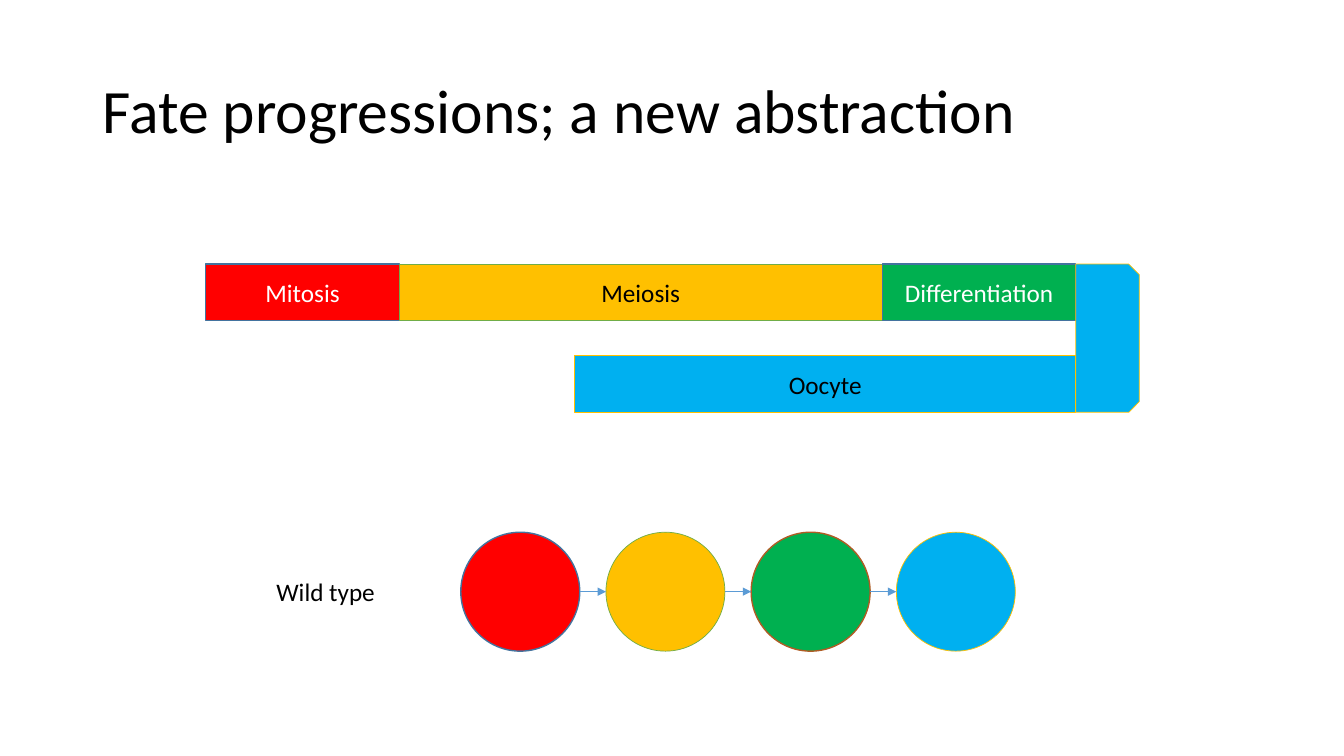
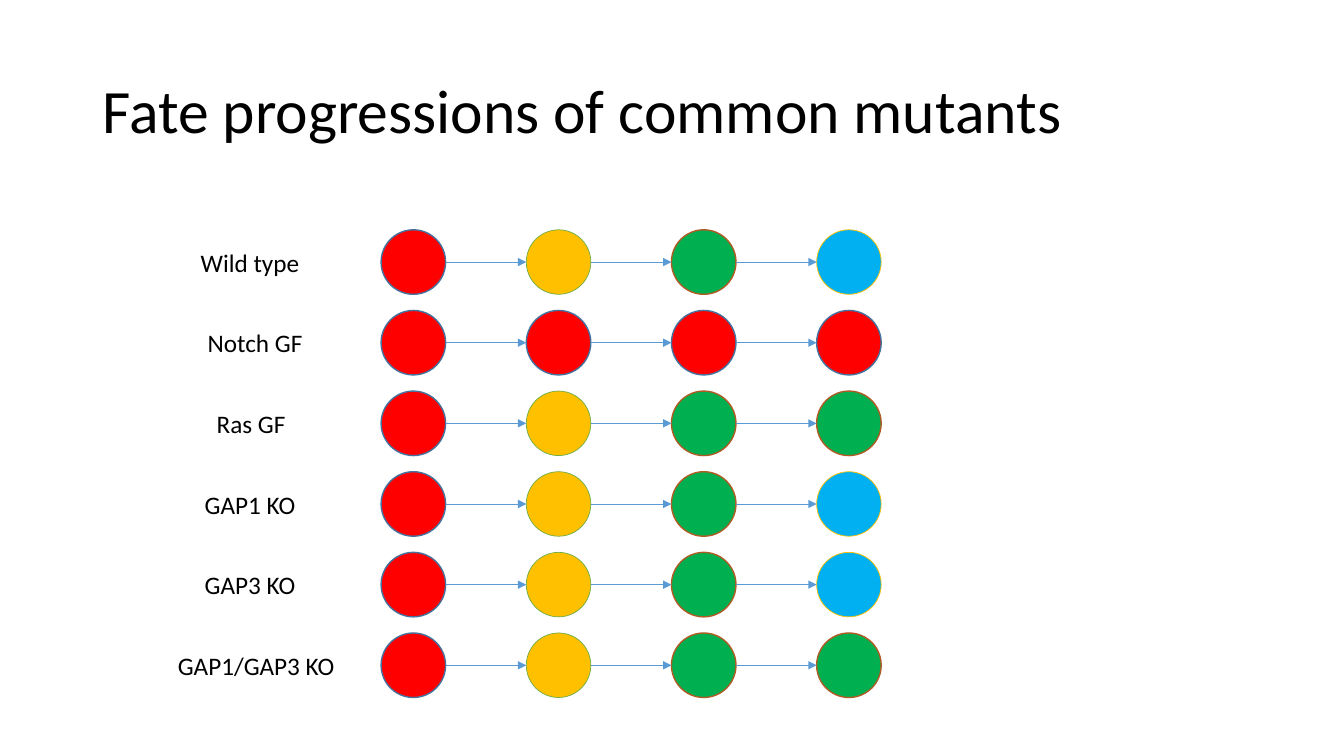
from lxml import etree
from pptx import Presentation
from pptx.dml.color import RGBColor
from pptx.enum.shapes import MSO_CONNECTOR, MSO_SHAPE
from pptx.enum.text import MSO_ANCHOR, PP_ALIGN
from pptx.oxml.ns import qn
from pptx.util import Inches, Pt

RECTANGLE = MSO_SHAPE.RECTANGLE
OVAL = MSO_SHAPE.OVAL
SNIPPED = MSO_SHAPE.SNIP_2_SAME_RECTANGLE
STRAIGHT = MSO_CONNECTOR.STRAIGHT
MIDDLE = MSO_ANCHOR.MIDDLE
LEFT, CENTER = PP_ALIGN.LEFT, PP_ALIGN.CENTER

BLACK = RGBColor(0x00, 0x00, 0x00)
WHITE = RGBColor(0xFF, 0xFF, 0xFF)
RED = RGBColor(0xFF, 0x00, 0x00)
AMBER = RGBColor(0xFF, 0xC0, 0x00)
GREEN = RGBColor(0x00, 0xB0, 0x50)
SKY = RGBColor(0x00, 0xB0, 0xF0)
NAVY_LINE = RGBColor(0x43, 0x73, 0x9E)
LEAF_LINE = RGBColor(0x70, 0xAD, 0x47)
RUST_LINE = RGBColor(0xAF, 0x5C, 0x24)
ARROW_BLUE = RGBColor(0x5B, 0x9B, 0xD5)

# Each fate: fill, outline colour, outline width in points
MITOSIS = (RED, NAVY_LINE, 1)
MEIOSIS = (AMBER, LEAF_LINE, 0.5)
DIFFERENTIATION = (GREEN, RUST_LINE, 1)
OOCYTE = (SKY, AMBER, 0.5)
DIFFERENTIATION_BAR = (GREEN, NAVY_LINE, 1)

TITLE_FORMAT = {"name": "Calibri", "size": Pt(44)}
BODY_FORMAT = {"name": "Calibri", "size": Pt(18)}

WILD_TYPE = (MITOSIS, MEIOSIS, DIFFERENTIATION, OOCYTE)
STALLED_IN_MITOSIS = (MITOSIS,) * 4
NO_OOCYTE = (MITOSIS, MEIOSIS, DIFFERENTIATION, DIFFERENTIATION)
CIRCLE_PITCH = 1.44
LABEL_WIDTH, LABEL_HEIGHT = 2, 0.4


def write_text(shape, text, font_format, color=BLACK, align=CENTER):
    frame = shape.text_frame
    frame.word_wrap = True
    frame.vertical_anchor = MIDDLE
    paragraph = frame.paragraphs[0]
    paragraph.text = text
    paragraph.alignment = align
    for name, value in font_format.items():
        setattr(paragraph.font, name, value)
    paragraph.font.color.rgb = color
    return paragraph


def add_text(slide, box, text, font_format, align=CENTER):
    shape = slide.shapes.add_textbox(*map(Inches, box))
    return write_text(shape, text, font_format, align=align)


def add_fate_shape(slide, kind, box, fate):
    fill, outline, width = fate
    shape = slide.shapes.add_shape(kind, *map(Inches, box))
    shape.shadow.inherit = False
    shape.fill.solid()
    shape.fill.fore_color.rgb = fill
    shape.line.color.rgb = outline
    shape.line.width = Pt(width)
    return shape


def add_arrow(slide, start, end, y):
    arrow = slide.shapes.add_connector(
        STRAIGHT, Inches(start), Inches(y), Inches(end), Inches(y))
    arrow.line.color.rgb = ARROW_BLUE
    arrow.line.width = Pt(0.5)
    properties = arrow.line._get_or_add_ln()
    etree.SubElement(properties, qn("a:tailEnd"), type="triangle")
    etree.SubElement(arrow._element.spPr, qn("a:effectLst"))


def add_titled_slide(presentation, title):
    slide = presentation.slides.add_slide(presentation.slide_layouts[6])
    paragraph = add_text(slide, (0.92, 0.4, 11.5, 1.45), title, TITLE_FORMAT, LEFT)
    paragraph.line_spacing = 0.9
    return slide


def add_gonad(slide, left, top):
    """Draw the folded tube: a row of fates, a bend and the returning arm."""
    bar_height, bend_width, bend_height = 0.56, 0.63, 1.47
    right = left + 8.63
    arm_width = 4.97

    x = left
    for text, width, fate, color in (
            ("Mitosis", 1.92, MITOSIS, WHITE),
            ("Meiosis", 4.79, MEIOSIS, BLACK),
            ("Differentiation", 1.92, DIFFERENTIATION_BAR, WHITE)):
        bar = add_fate_shape(slide, RECTANGLE, (x, top, width, bar_height), fate)
        write_text(bar, text, BODY_FORMAT, color)
        x += width

    # The bend is turned a quarter, so its box is laid out before turning
    turn = (bend_height - bend_width) / 2
    bend = add_fate_shape(
        slide, SNIPPED, (right - turn, top + turn, bend_height, bend_width), OOCYTE)
    bend.rotation = 90

    arm_top = top + bend_height - bar_height
    arm = add_fate_shape(
        slide, RECTANGLE, (right - arm_width, arm_top, arm_width, bar_height), OOCYTE)
    write_text(arm, "Oocyte", BODY_FORMAT)


def add_progression(slide, left, top, diameter, fates, label, label_center):
    """Draw a labelled row of fate circles joined by arrows."""
    middle = top + diameter / 2
    label_box = (label_center - LABEL_WIDTH / 2, middle - LABEL_HEIGHT / 2,
                 LABEL_WIDTH, LABEL_HEIGHT)
    add_text(slide, label_box, label, BODY_FORMAT)
    for index, fate in enumerate(fates):
        x = left + index * CIRCLE_PITCH
        add_fate_shape(slide, OVAL, (x, top, diameter, diameter), fate)
        if index:
            add_arrow(slide, x - CIRCLE_PITCH + diameter, x, middle)


def add_abstraction_slide(presentation):
    slide = add_titled_slide(presentation, "Fate progressions; a new abstraction")
    add_gonad(slide, 2.04, 2.62)
    add_progression(slide, 4.57, 5.28, 1.18, WILD_TYPE, "Wild type", 3.23)


def add_mutants_slide(presentation):
    slide = add_titled_slide(presentation, "Fate progressions of common mutants")
    rows = (
        ("Wild type", WILD_TYPE, 2.48),
        ("Notch GF", STALLED_IN_MITOSIS, 2.53),
        ("Ras GF", NO_OOCYTE, 2.49),
        ("GAP1 KO", WILD_TYPE, 2.48),
        ("GAP3 KO", WILD_TYPE, 2.48),
        ("GAP1/GAP3 KO", NO_OOCYTE, 2.54),
    )
    for index, (label, fates, label_center) in enumerate(rows):
        add_progression(slide, 3.78, 2.28 + index * 0.8, 0.64, fates, label, label_center)


def main():
    presentation = Presentation()
    presentation.slide_width = Inches(13.33)
    presentation.slide_height = Inches(7.5)
    add_abstraction_slide(presentation)
    add_mutants_slide(presentation)
    presentation.save("out.pptx")


if __name__ == "__main__":
    main()
